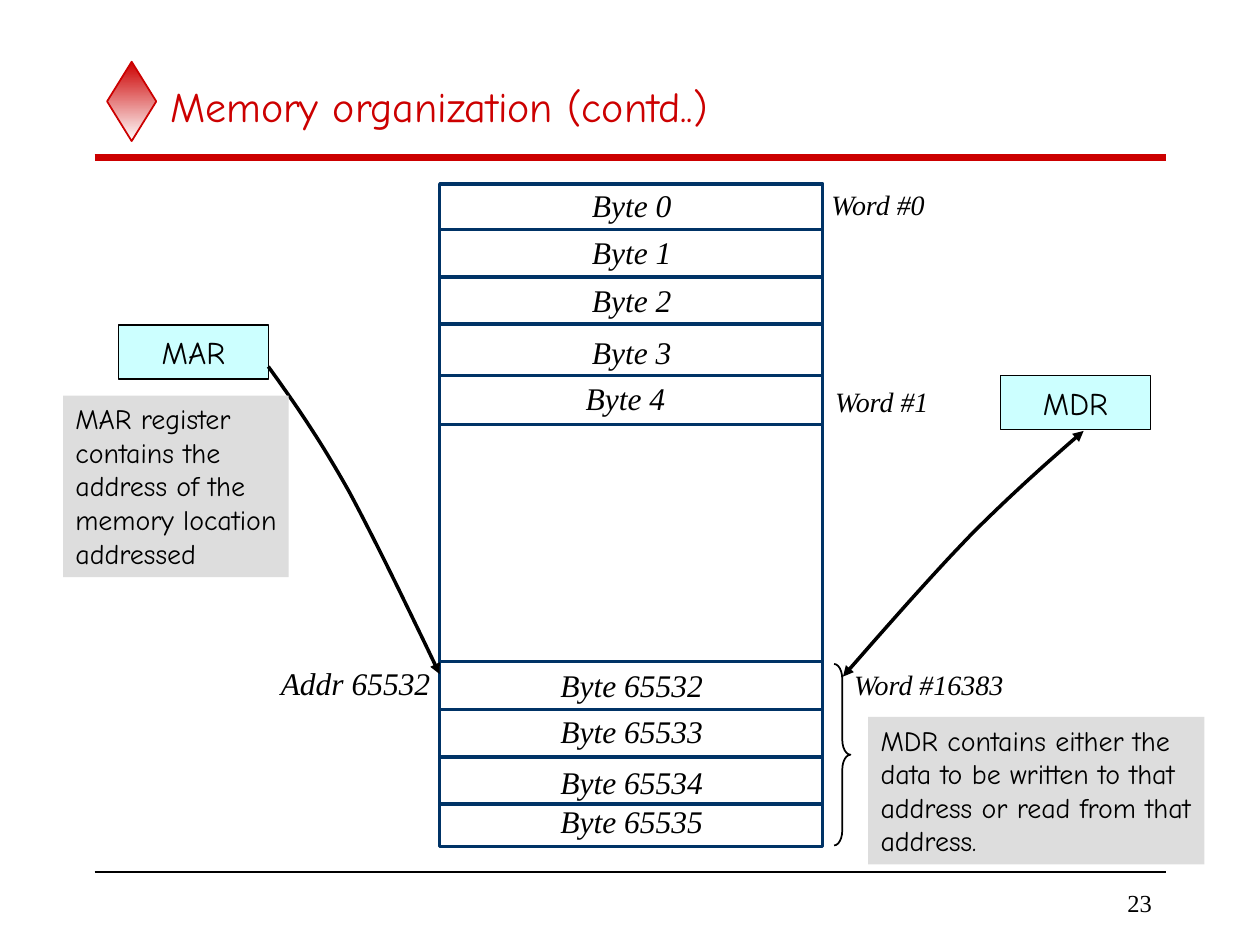
"""Build the memory organization slide with its byte map and the MAR and MDR registers."""
from typing import NamedTuple

from pptx import Presentation
from pptx.dml.color import RGBColor
from pptx.enum.shapes import MSO_CONNECTOR, MSO_SHAPE
from pptx.enum.text import MSO_ANCHOR, PP_ALIGN
from pptx.oxml.ns import qn
from pptx.oxml.xmlchemy import OxmlElement
from pptx.util import Inches, Pt

RED = RGBColor(0xCC, 0x00, 0x00)
NAVY = RGBColor(0x00, 0x33, 0x66)
CYAN = RGBColor(0xCC, 0xFF, 0xFF)
GREY = RGBColor(0xDD, 0xDD, 0xDD)
BLACK = RGBColor(0x00, 0x00, 0x00)
WHITE = RGBColor(0xFF, 0xFF, 0xFF)
SERIF, COMIC = "Times New Roman", "Comic Neue"


class Label(NamedTuple):
    text: str
    left: float
    top: float
    width: float
    size: int = 18


class Box(NamedTuple):
    text: str
    left: float
    top: float
    width: float
    height: float


class Curve(NamedTuple):
    points: list
    ends: tuple


DIVIDERS = [1.82, 2.2, 2.57, 2.98, 3.37, 5.25, 5.63, 6.01, 6.38]
LOW_BYTES = [Label(f"Byte {i}", 4.6, top, 0.83) for i, top in enumerate([1.43, 1.8, 2.18, 2.59])]
HIGH_BYTES = [Label(f"Byte {65532 + i}", 4.35, top, 1.33)
              for i, top in enumerate([5.24, 5.6, 6.01, 6.32])]
LABELS = LOW_BYTES + HIGH_BYTES + [
    Label("Byte 4", 4.55, 2.96, 0.83),
    Label("Addr 65532", 2.13, 5.22, 1.39),
    Label("Word #0", 6.5, 1.44, 0.97, 16),
    Label("Word #1", 6.53, 3, 0.97, 16),
    Label("Word #16383", 6.68, 5.25, 1.41, 16),
]
REGISTERS = [Box("MAR", 0.94, 2.58, 1.19, 0.43), Box("MDR", 7.94, 2.98, 1.19, 0.43)]
CURVES = [
    Curve([(2.13, 2.91), (2.34, 3.2), (2.54, 3.49), (2.77, 3.9),
           (2.99, 4.31), (3.24, 4.83), (3.49, 5.35)], ("a:tailEnd",)),
    Curve([(6.69, 5.37), (7.04, 4.97), (7.39, 4.57), (7.71, 4.24),
           (8.03, 3.92), (8.31, 3.67), (8.6, 3.42)], ("a:headEnd", "a:tailEnd")),
]
NOTES = [
    Box("MAR register\ncontains the\naddress of the\nmemory location\naddressed",
        0.5, 3.14, 1.79, 1.44),
    Box("MDR contains either the\ndata to be written to that\naddress or read from that\naddress.",
        6.89, 5.69, 2.67, 1.17),
]


def write(sp, text: str, *, size: int, font: str, color=BLACK, italic=False,
          align=PP_ALIGN.LEFT, anchor=MSO_ANCHOR.TOP, wrap=False) -> None:
    tf = sp.text_frame
    tf.text = text
    tf.word_wrap = wrap
    tf.vertical_anchor = anchor
    for p in tf.paragraphs:
        p.alignment = align
        f = p.runs[0].font
        f.size, f.name, f.italic = Pt(size), font, italic
        f.color.rgb = color


def add_text(s, label: Label, height: float = 0.4, **fmt):
    sp = s.shapes.add_textbox(*map(Inches, (label.left, label.top, label.width, height)))
    write(sp, label.text, size=label.size, font=SERIF, **fmt)


def add_box(s, kind, left: float, top: float, width: float, height: float,
            fill=None, line=None, weight: float = 1):
    sp = s.shapes.add_shape(kind, *map(Inches, (left, top, width, height)))
    sp.shadow.inherit = False
    if fill is None:
        sp.fill.background()
    else:
        sp.fill.solid()
        sp.fill.fore_color.rgb = fill
    if line is None:
        sp.line.fill.background()
    else:
        sp.line.color.rgb = line
        sp.line.width = Pt(weight)
    return sp


def add_rule(s, left: float, right: float, y: float, color, weight: float) -> None:
    sp = s.shapes.add_connector(MSO_CONNECTOR.STRAIGHT, *map(Inches, (left, y, right, y)))
    sp.line.color.rgb = color
    sp.line.width = Pt(weight)
    sp._element.spPr.append(OxmlElement("a:effectLst"))


def bezier(p0, p1, p2, p3, steps: int = 16) -> list:
    ts = [i / steps for i in range(1, steps + 1)]
    return [tuple(Inches((1 - t) ** 3 * a + 3 * (1 - t) ** 2 * t * b
                         + 3 * (1 - t) * t ** 2 * c + t ** 3 * d)
                  for a, b, c, d in zip(p0, p1, p2, p3)) for t in ts]


def add_curve(s, curve: Curve) -> None:
    pts = curve.points
    fb = s.shapes.build_freeform(*map(Inches, pts[0]))
    fb.add_line_segments(bezier(*pts[:4]) + bezier(*pts[3:]), close=False)
    sp = fb.convert_to_shape()
    sp.shadow.inherit = False
    sp.fill.background()
    sp.line.color.rgb = BLACK
    sp.line.width = Pt(2)
    ln = sp._element.spPr.find(qn("a:ln"))
    for tag in curve.ends:
        end = OxmlElement(tag)
        end.set("type", "triangle")
        ln.append(end)


def add_frame(s) -> None:
    sp = add_box(s, MSO_SHAPE.DIAMOND, 0.85, 0.49, 0.39, 0.63, WHITE, RED)
    sp.fill.gradient()
    sp.fill.gradient_angle = 270
    for stop, color in zip(sp.fill.gradient_stops, (RED, WHITE)):
        stop.color.rgb = color
    add_rule(s, 0.75, 9.25, 1.25, RED, 4)
    add_rule(s, 0.75, 9.25, 6.92, BLACK, 1)
    title = s.shapes.title
    title.left, title.top, title.width, title.height = map(Inches, (1.25, 0.5, 8, 0.67))
    write(title, "Memory organization (contd..)", size=24, font=COMIC, color=RED,
          anchor=MSO_ANCHOR.MIDDLE, wrap=True)
    add_text(s, Label("23", 7.83, 7, 1.41, 14), 0.33, align=PP_ALIGN.RIGHT,
             anchor=MSO_ANCHOR.MIDDLE, wrap=True)


def add_memory(s) -> None:
    add_box(s, MSO_SHAPE.RECTANGLE, 3.49, 1.46, 3.04, 5.26, WHITE, NAVY, 2)
    for y in DIVIDERS:
        add_rule(s, 3.5, 6.54, y, NAVY, 2)
    for label in LABELS:
        add_text(s, label, italic=True)
    brace = add_box(s, MSO_SHAPE.RIGHT_BRACE, 6.62, 5.27, 0.13, 1.44, line=BLACK)
    brace.adjustments[0] = 0.92


def main() -> None:
    prs = Presentation()
    prs.slide_width, prs.slide_height = Inches(10), Inches(7.5)
    s = prs.slides.add_slide(prs.slide_layouts[5])
    add_frame(s)
    add_memory(s)
    for box in REGISTERS:
        sp = add_box(s, MSO_SHAPE.RECTANGLE, *box[1:], fill=CYAN, line=BLACK)
        write(sp, box.text, size=18, font=COMIC, align=PP_ALIGN.CENTER, anchor=MSO_ANCHOR.MIDDLE)
    for curve in CURVES:
        add_curve(s, curve)
    for box in NOTES:
        sp = add_box(s, MSO_SHAPE.RECTANGLE, *box[1:], fill=GREY)
        write(sp, box.text, size=16, font=COMIC)
    prs.save("out.pptx")


if __name__ == "__main__":
    main()
